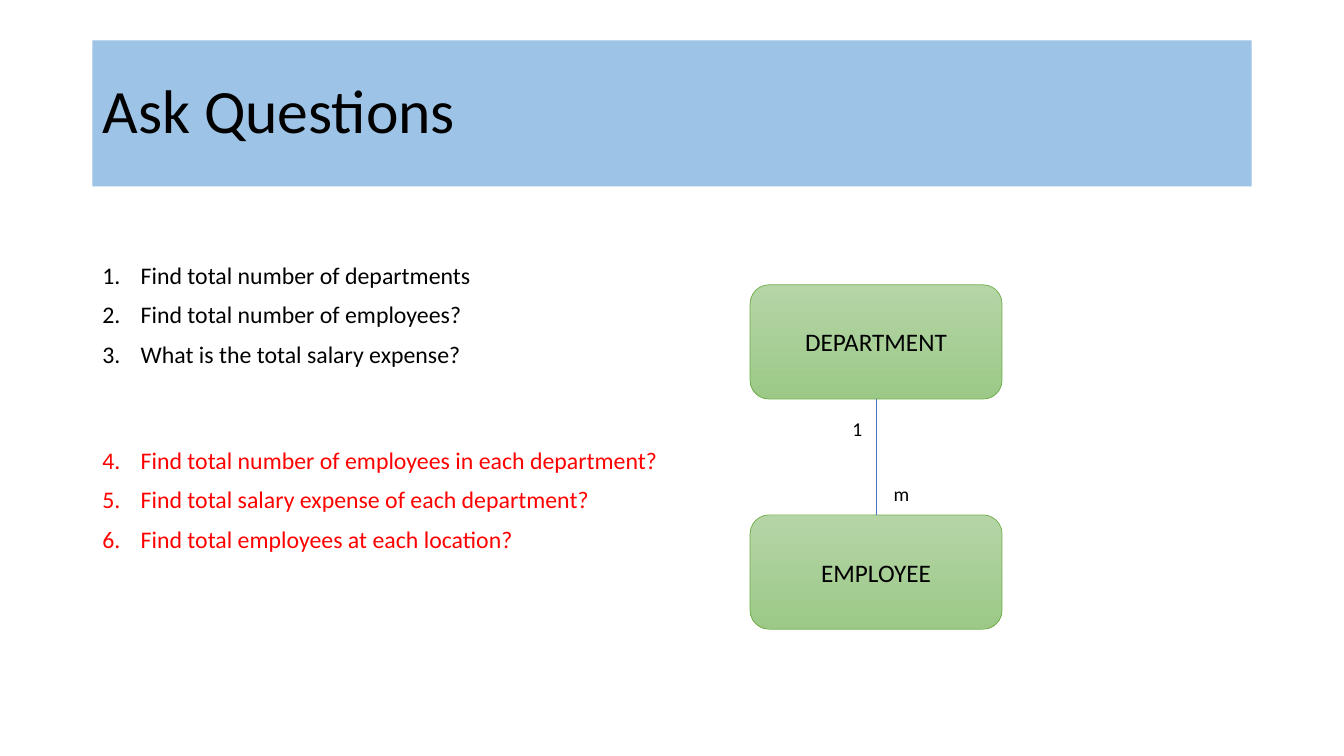
import lxml.etree
import pptx
import pptx.dml.color
import pptx.enum.shapes
import pptx.enum.text
import pptx.oxml.ns
import pptx.util

BLACK, RED = "000000", "FF0000"


def color(hex_code):
    return pptx.dml.color.RGBColor.from_string(hex_code)


def add_xml(parent, tag, **attributes):
    return lxml.etree.SubElement(parent, pptx.oxml.ns.qn(tag), attributes)


class Board:
    """Draws styled elements on one slide, placed on a grid of 16 columns by 9 rows."""

    font_name = "Calibri"
    columns, rows = 16, 9

    def __init__(self, deck):
        self.cell_width = deck.slide_width / self.columns
        self.cell_height = deck.slide_height / self.rows
        self.slide = deck.slides.add_slide(deck.slide_layouts[5])
        self.shapes = self.slide.shapes

    def area(self, column, row, width, height):
        return (round(column * self.cell_width), round(row * self.cell_height),
                round(width * self.cell_width), round(height * self.cell_height))

    def style(self, paragraph, size, hex_code=BLACK):
        paragraph.font.name = self.font_name
        paragraph.font.size = pptx.util.Pt(size)
        paragraph.font.color.rgb = color(hex_code)

    def title(self, wording, area, fill):
        heading = self.shapes.title
        heading.left, heading.top, heading.width, heading.height = self.area(*area)
        heading.fill.solid()
        heading.fill.fore_color.rgb = color(fill)
        heading.text_frame.text = wording
        heading.text_frame.vertical_anchor = pptx.enum.text.MSO_ANCHOR.MIDDLE
        line = heading.text_frame.paragraphs[0]
        line.alignment = pptx.enum.text.PP_ALIGN.LEFT
        line.line_spacing = 0.9
        self.style(line, 44)

    def numbered_list(self, groups, area, size, gap, group_gap):
        frame = self.shapes.add_textbox(*self.area(*area)).text_frame
        frame.word_wrap = True
        frame.text = "\n".join(item for items, _ in groups for item in items)
        paragraphs = iter(frame.paragraphs)
        for group_index, (items, hex_code) in enumerate(groups):
            for item_index in range(len(items)):
                paragraph = next(paragraphs)
                starts_group = group_index > 0 and item_index == 0
                paragraph.line_spacing = 0.9
                paragraph.space_before = pptx.util.Pt(group_gap if starts_group else gap)
                self.number(paragraph, hex_code)
                self.style(paragraph, size, hex_code)

    def number(self, paragraph, hex_code):
        properties = paragraph._p.get_or_add_pPr()
        indent = pptx.util.Inches(0.38)
        properties.set("marL", str(indent))
        properties.set("indent", str(-indent))
        add_xml(add_xml(properties, "a:buClr"), "a:srgbClr", val=hex_code)
        add_xml(properties, "a:buAutoNum", type="arabicPeriod")

    def entity(self, wording, area, gradient, outline):
        box = self.shapes.add_shape(
            pptx.enum.shapes.MSO_SHAPE.ROUNDED_RECTANGLE, *self.area(*area))
        box.shadow.inherit = False
        box.fill.gradient()
        box.fill.gradient_angle = 270
        for stop, position, hex_code in zip(box.fill.gradient_stops, (0, 1), gradient):
            stop.position = position
            stop.color.rgb = color(hex_code)
        box.line.color.rgb = color(outline)
        box.line.width = pptx.util.Pt(0.5)
        box.text_frame.text = wording
        box.text_frame.vertical_anchor = pptx.enum.text.MSO_ANCHOR.MIDDLE
        line = box.text_frame.paragraphs[0]
        line.alignment = pptx.enum.text.PP_ALIGN.CENTER
        self.style(line, 18)
        return box

    def relation(self, upper, lower, hex_code):
        link = self.shapes.add_connector(
            pptx.enum.shapes.MSO_CONNECTOR.STRAIGHT, 0, 0, 0, 0)
        link.begin_connect(upper, 2)
        link.end_connect(lower, 0)
        link.line.color.rgb = color(hex_code)
        link.line.width = pptx.util.Pt(0.5)
        add_xml(link._element.spPr, "a:effectLst")

    def label(self, wording, area):
        frame = self.shapes.add_textbox(*self.area(*area)).text_frame
        frame.word_wrap = False
        frame.auto_size = pptx.enum.text.MSO_AUTO_SIZE.SHAPE_TO_FIT_TEXT
        frame.text = wording
        self.style(frame.paragraphs[0], 14)


def main():
    deck = pptx.Presentation()
    deck.slide_width = pptx.util.Inches(13.33)
    deck.slide_height = pptx.util.Inches(7.5)
    board = Board(deck)

    board.title("Ask Questions", (1.1, 0.48, 13.8, 1.74), "9DC3E6")
    overall_questions = ["Find total number of departments",
                         "Find total number of employees?",
                         "What is the total salary expense?"]
    grouped_questions = ["Find total number of employees in each department?",
                         "Find total salary expense of each department?",
                         "Find total employees at each location?"]
    board.numbered_list([(overall_questions, BLACK), (grouped_questions, RED)],
                        (1.1, 3.08, 7.5, 3.9), size=17, gap=10, group_gap=57)

    department, employee = [
        board.entity(wording, (8.93, row, 3, 1.36), ("B5D5A7", "9CC987"), "70AD47")
        for wording, row in (("DEPARTMENT", 3.39), ("EMPLOYEE", 6.13))]
    board.relation(department, employee, "4472C4")
    board.label("1", (10.03, 4.9, 0.36, 0.41))
    board.label("m", (10.52, 5.68, 0.43, 0.41))
    deck.save("out.pptx")


if __name__ == "__main__":
    main()
